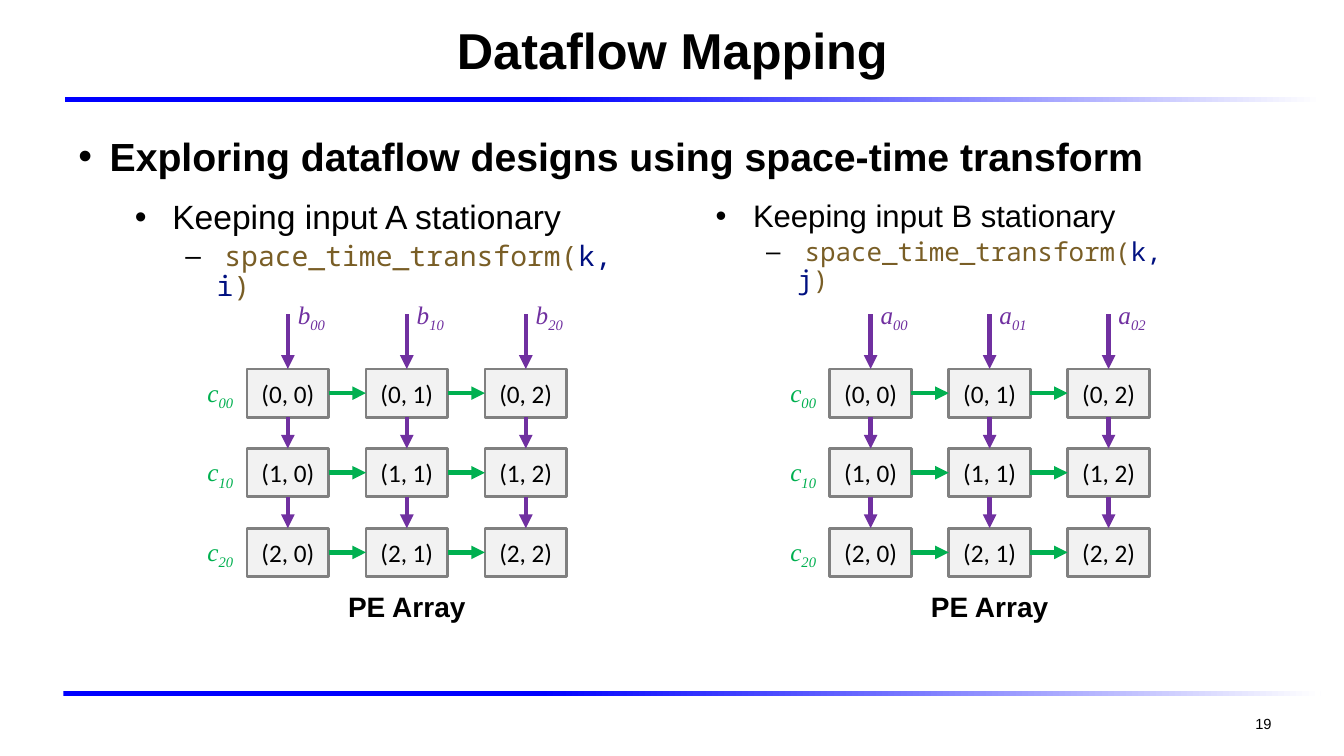
from lxml.etree import SubElement
from pptx import Presentation
from pptx.dml.color import RGBColor
from pptx.enum.shapes import MSO_CONNECTOR, MSO_SHAPE
from pptx.enum.text import MSO_ANCHOR, PP_ALIGN
from pptx.oxml.ns import qn
from pptx.util import Inches, Pt

COLORS = {
    "black": "000000", "white": "FFFFFF", "rule": "0000FF",
    "cell": "F2F2F2", "border": "808080",
    "output": "00B050", "input": "7030A0",
    "function": "795E26", "argument": "001080",
}
SIZE = 3
CELL_WIDTH, CELL_HEIGHT = 0.81, 0.48
COLUMN_STEP, ROW_STEP = 1.18, 0.79
GRID_TOP = 3.66
INPUT_TOP = 3.12


def color(name):
    return RGBColor.from_string(COLORS[name])


def style(font, size, name="Arial", tint="black", bold=False, italic=False):
    font.size = Pt(size)
    font.name = name
    font.bold = bold
    font.italic = italic
    font.color.rgb = color(tint)


def add_box(page, left, top, width, height, anchor=MSO_ANCHOR.TOP):
    box = page.shapes.add_textbox(*map(Inches, (left, top, width, height)))
    box.text_frame.word_wrap = True
    box.text_frame.vertical_anchor = anchor
    return box.text_frame


def add_line_of_text(page, place, text, size, align, bold=False):
    frame = add_box(page, *place, anchor=MSO_ANCHOR.MIDDLE)
    para = frame.paragraphs[0]
    para.text = text
    para.alignment = align
    style(para.font, size, bold=bold)


def add_bullet(para, symbol, margin, hanging):
    properties = para._p.get_or_add_pPr()
    properties.set("marL", str(Inches(margin)))
    properties.set("indent", str(-Inches(hanging)))
    SubElement(properties, qn("a:buFont"), typeface="Arial")
    SubElement(properties, qn("a:buChar"), char=symbol)


def add_rule(page, left, top):
    rule = page.shapes.add_shape(
        MSO_SHAPE.RECTANGLE, *map(Inches, (left, top, 12.47, 0.05)))
    rule.shadow.inherit = False
    rule.line.fill.background()
    rule.fill.gradient()
    rule.fill.gradient_angle = 0
    stops = zip(rule.fill.gradient_stops, (0.38, 1), ("rule", "white"))
    for stop, position, tint in stops:
        stop.position = position
        stop.color.rgb = color(tint)


def add_heading(page, text):
    frame = add_box(page, 0.68, 1.22, 11.5, 0.57)
    frame.margin_top = Inches(0.09)
    para = frame.paragraphs[0]
    para.text = text
    add_bullet(para, "•", 0.31, 0.31)
    style(para.font, 28, bold=True)


def add_mapping(page, left, width, text, arguments, size, code_size):
    frame = add_box(page, left, 1.87, width, 0.92)
    frame.margin_top = Inches(0.12)
    para = frame.paragraphs[0]
    para.text = text
    para.line_spacing = 0.9
    add_bullet(para, "•", 0.37, 0.37)
    style(para.font, size)

    call = frame.add_paragraph()
    call.level = 1
    call.line_spacing = 0.9
    call.space_before = Pt(code_size * 0.2)
    add_bullet(call, "–", 0.81, 0.31)
    mono = "Noto Sans Mono"
    for words, font, tint in (
            (" ", "Arial", "black"),
            ("space_time_transform(", mono, "function"),
            (arguments, mono, "argument"),
            (")", mono, "function")):
        span = call.add_run()
        span.text = words
        style(span.font, code_size, font, tint)


def add_cell(page, left, top, text):
    cell = page.shapes.add_shape(
        MSO_SHAPE.RECTANGLE, *map(Inches, (left, top, CELL_WIDTH, CELL_HEIGHT)))
    cell.shadow.inherit = False
    cell.fill.solid()
    cell.fill.fore_color.rgb = color("cell")
    cell.line.color.rgb = color("border")
    cell.line.width = Pt(2)
    frame = cell.text_frame
    frame.margin_left = frame.margin_right = 0
    frame.vertical_anchor = MSO_ANCHOR.MIDDLE
    para = frame.paragraphs[0]
    para.text = text
    para.alignment = PP_ALIGN.CENTER
    style(para.font, 18, "Calibri")


def add_arrow(page, start, end, tint):
    arrow = page.shapes.add_connector(
        MSO_CONNECTOR.STRAIGHT, *map(Inches, (*start, *end)))
    arrow.line.color.rgb = color(tint)
    arrow.line.width = Pt(3.25)
    SubElement(arrow.line._get_or_add_ln(), qn("a:tailEnd"), type="triangle")
    SubElement(arrow._element.spPr, qn("a:effectLst"))


def add_symbol(page, left, top, letter, index, tint):
    frame = add_box(page, left, top, 0.5, 0.4)
    frame.margin_right = 0
    para = frame.paragraphs[0]
    para.add_run().text = letter
    subscript = para.add_run()
    subscript.text = index
    subscript.font._element.set("baseline", "-25000")
    style(para.font, 18, "Times New Roman", tint, italic=True)


def add_array(page, left, letter, indices):
    for row in range(SIZE):
        top = GRID_TOP + row * ROW_STEP
        middle = top + CELL_HEIGHT / 2
        add_symbol(page, left - 0.49, top + 0.03, "c", f"{row}0", "output")
        for column in range(SIZE):
            cell_left = left + column * COLUMN_STEP
            center = cell_left + CELL_WIDTH / 2
            add_cell(page, cell_left, top, f"({row}, {column})")
            if column:
                previous = cell_left - COLUMN_STEP + CELL_WIDTH
                add_arrow(page, (previous, middle), (cell_left, middle), "output")
            above = top - ROW_STEP + CELL_HEIGHT if row else INPUT_TOP
            add_arrow(page, (center, above), (center, top), "input")
    for column, index in enumerate(indices):
        center = left + column * COLUMN_STEP + CELL_WIDTH / 2
        add_symbol(page, center, 2.92, letter, index, "input")
    width = (SIZE - 1) * COLUMN_STEP + CELL_WIDTH
    add_line_of_text(page, (left, 5.79, width, 0.44), "PE Array", 20,
                     PP_ALIGN.CENTER, bold=True)


def main():
    deck = Presentation()
    deck.slide_width, deck.slide_height = Inches(13.33), Inches(7.5)
    page = deck.slides.add_slide(deck.slide_layouts[6])
    add_rule(page, 0.64, 0.96)
    add_rule(page, 0.63, 6.86)
    add_line_of_text(page, (0.68, 0.05, 11.98, 0.87), "Dataflow Mapping", 36,
                     PP_ALIGN.CENTER, bold=True)
    add_line_of_text(page, (9.6, 6.98, 3.11, 0.4), "19", 10.5, PP_ALIGN.RIGHT)
    add_heading(page, "Exploring dataflow designs using space-time transform")
    add_mapping(page, 1.24, 5.19, "Keeping input A stationary", "k, i", 24, 20)
    add_mapping(page, 7, 4.82, "Keeping input B stationary", "k, j", 22.2, 18.5)
    add_array(page, 2.45, "b", ("00", "10", "20"))
    add_array(page, 8.23, "a", ("00", "01", "02"))
    deck.save("out.pptx")


if __name__ == "__main__":
    main()
